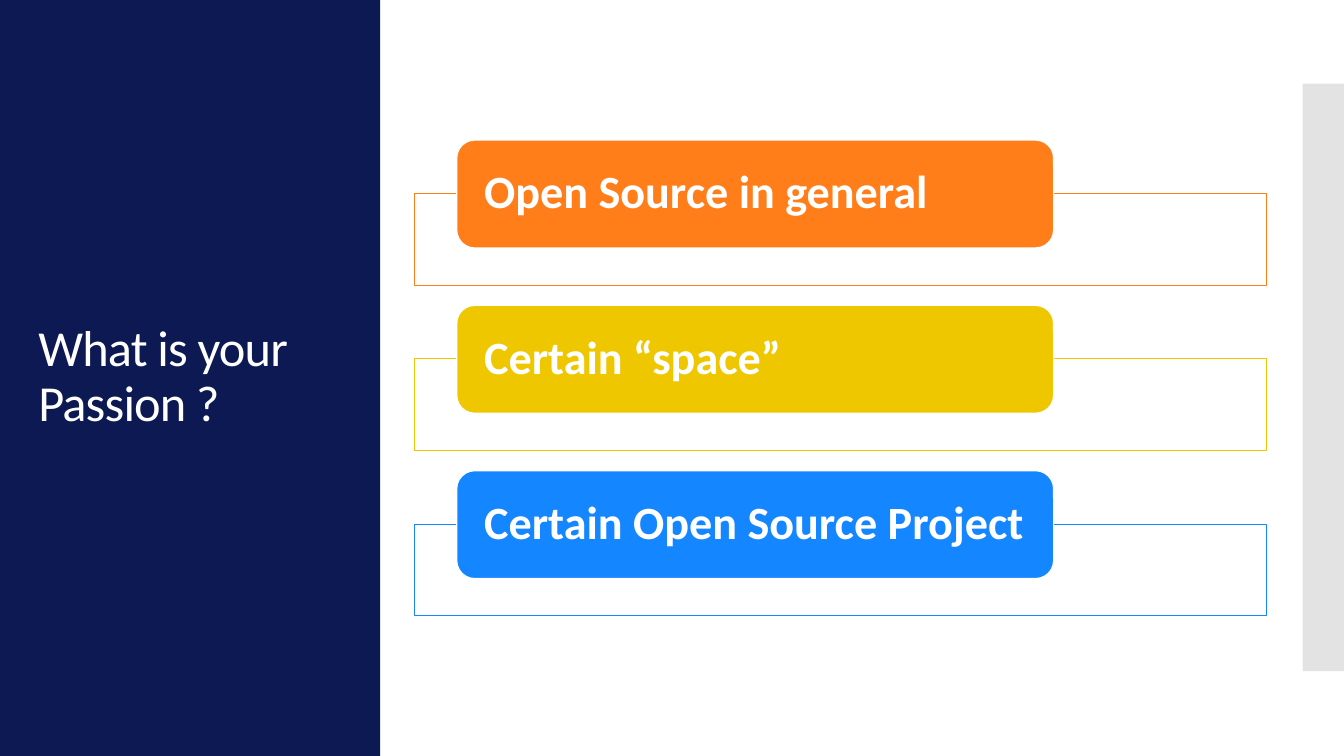
from dataclasses import dataclass

from lxml import etree
from pptx import Presentation
from pptx.dml.color import RGBColor
from pptx.dml.fill import FillFormat
from pptx.enum.shapes import MSO_SHAPE as Shape
from pptx.enum.text import MSO_ANCHOR as Anchor, MSO_AUTO_SIZE as AutoSize, PP_ALIGN as Align
from pptx.oxml.ns import qn
from pptx.shapes.autoshape import Shape as AutoShape
from pptx.slide import Slide
from pptx.text.text import TextFrame
from pptx.util import Inches, Pt

WHITE = "FFFFFF"
NAVY = "0D1953"
FIRST_TOP, PITCH = 1.39, 1.64
FRAME_DROP = 0.53


@dataclass(frozen=True)
class Box:
    left: float
    top: float
    width: float
    height: float


@dataclass(frozen=True)
class Passion:
    label: str
    color: str


PASSIONS = [
    Passion("Open Source in general", "FF7E19"),
    Passion("Certain “space”", "EFC700"),
    Passion("Certain Open Source Project", "1486FF"),
]


def rgb(color: str) -> RGBColor:
    return RGBColor.from_string(color)


def paint(fill: FillFormat, color: str) -> None:
    fill.solid()
    fill.fore_color.rgb = rgb(color)


def add_block(slide: Slide, kind: Shape, box: Box, color: str,
              line: str | None = None, opacity: int = 100) -> AutoShape:
    block = slide.shapes.add_shape(kind, Inches(box.left), Inches(box.top),
                                   Inches(box.width), Inches(box.height))
    block.shadow.inherit = False
    paint(block.fill, color)
    if opacity < 100:
        tint = block.element.spPr.find(f"{qn('a:solidFill')}/{qn('a:srgbClr')}")
        etree.SubElement(tint, qn("a:alpha")).set("val", str(opacity * 1000))
    if line:
        paint(block.line.fill, line)
        block.line.width = Pt(0.85)
    else:
        block.line.fill.background()
    return block


def write(frame: TextFrame, text: str, size: float, bold: bool = False) -> None:
    frame.text = text
    frame.word_wrap = True
    frame.auto_size = AutoSize.NONE
    frame.vertical_anchor = Anchor.MIDDLE
    paragraph = frame.paragraphs[0]
    paragraph.alignment = Align.LEFT
    paragraph.line_spacing = 0.9
    font = paragraph.font
    font.name, font.size, font.bold = "Calibri", Pt(size), bold
    font.color.rgb = rgb(WHITE)


def add_title(slide: Slide) -> None:
    panel = add_block(slide, Shape.RECTANGLE, Box(0, 0, 3.77, 7.5), NAVY)
    title = slide.shapes.title
    title.element.addprevious(panel.element)  # keep the panel behind the title
    title.left, title.top = Inches(0.28), Inches(1.23)
    title.width, title.height = Inches(3.22), Inches(5.03)
    write(title.text_frame, "What is your Passion ?", 36)
    run = title.text_frame.paragraphs[0].runs[0]
    run._r.get_or_add_rPr().set("spc", "-60")


def add_passion(slide: Slide, passion: Passion, top: float) -> None:
    add_block(slide, Shape.RECTANGLE, Box(4.11, top + FRAME_DROP, 8.45, 0.91),
              WHITE, passion.color, opacity=90)
    label = add_block(slide, Shape.ROUNDED_RECTANGLE, Box(4.53, top, 5.92, 1.07),
                      passion.color, WHITE)
    frame = label.text_frame
    frame.margin_left, frame.margin_right = Inches(0.22), Inches(0.1)
    frame.margin_top = frame.margin_bottom = 0
    write(frame, passion.label, 33, bold=True)


def main() -> None:
    deck = Presentation()
    deck.slide_width, deck.slide_height = Inches(13.33), Inches(7.5)
    slide = deck.slides.add_slide(deck.slide_layouts[5])

    # Side panel with the title, and the grey edge strip
    add_title(slide)
    add_block(slide, Shape.RECTANGLE, Box(12.92, 0.83, 0.41, 5.83), "C8C8C8", opacity=50)

    # Passions, each a label over an outlined frame
    for row, passion in enumerate(PASSIONS):
        add_passion(slide, passion, FIRST_TOP + row * PITCH)

    deck.save("out.pptx")


if __name__ == "__main__":
    main()
